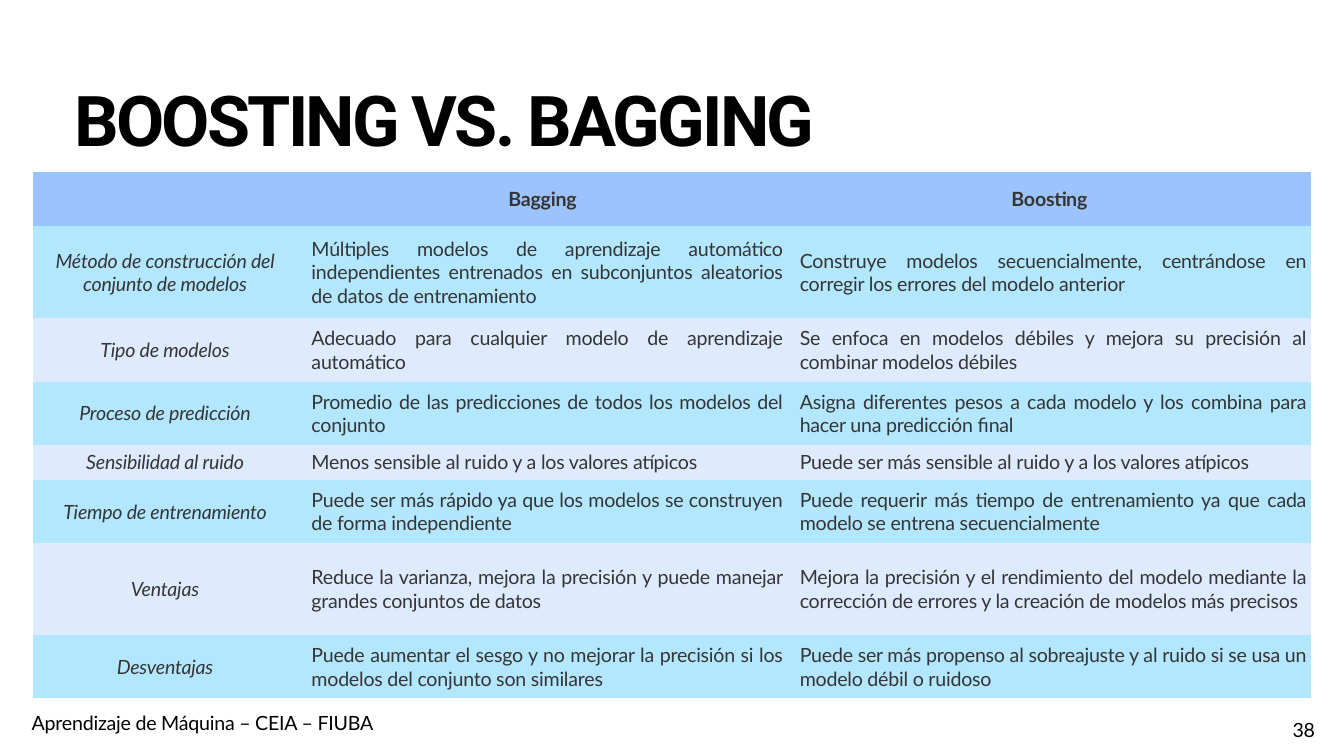
from pptx import Presentation
from pptx.dml.color import RGBColor
from pptx.enum.text import MSO_ANCHOR as Anchor, PP_ALIGN as Align
from pptx.oxml.ns import qn
from pptx.util import Cm, Pt

BLACK, GREY = "000000", "353535"
HEADER_FILL, ODD_FILL, EVEN_FILL = "9BC4FF", "B2E7FF", "DEEBFF"
NO_TABLE_STYLE = "{2D5ABB26-0587-4C30-8999-92F81FD0307C}"

COLUMN_WIDTHS = [13.34, 24.71, 26.39]
LEFT_MARGINS = [0.25, 0.71, 0.61]
HEADER_HEIGHT = 2.72
HEIGHT_BY_LINES = {1: 1.75, 2: 3.2, 3: 4.62}

HEADER = ["", "Bagging", "Boosting"]
# Number of text lines, then the three cells of the row
COMPARISON = [
    (3, "Método de construcción del conjunto de modelos",
     "Múltiples modelos de aprendizaje automático independientes entrenados "
     "en subconjuntos aleatorios de datos de entrenamiento",
     "Construye modelos secuencialmente, centrándose en corregir los errores "
     "del modelo anterior"),
    (2, "Tipo de modelos",
     "Adecuado para cualquier modelo de aprendizaje automático",
     "Se enfoca en modelos débiles y mejora su precisión al combinar modelos débiles"),
    (2, "Proceso de predicción",
     "Promedio de las predicciones de todos los modelos del conjunto",
     "Asigna diferentes pesos a cada modelo y los combina para hacer una predicción final"),
    (1, "Sensibilidad al ruido",
     "Menos sensible al ruido y a los valores atípicos",
     "Puede ser más sensible al ruido y a los valores atípicos"),
    (2, "Tiempo de entrenamiento",
     "Puede ser más rápido ya que los modelos se construyen de forma independiente",
     "Puede requerir más tiempo de entrenamiento ya que cada modelo se entrena "
     "secuencialmente"),
    (3, "Ventajas",
     "Reduce la varianza, mejora la precisión y puede manejar grandes conjuntos de datos",
     "Mejora la precisión y el rendimiento del modelo mediante la corrección de errores "
     "y la creación de modelos más precisos"),
    (2, "Desventajas",
     "Puede aumentar el sesgo y no mejorar la precisión si los modelos del conjunto "
     "son similares",
     "Puede ser más propenso al sobreajuste y al ruido si se usa un modelo débil o ruidoso"),
]


def color(hex_code):
    return RGBColor.from_string(hex_code)


def format_para(para, align=Align.LEFT, font="Lato", size=28, ink=BLACK,
                bold=False, italic=False, line_spacing=0.8, tracking=-0.3):
    """Format a whole paragraph; tracking is letter spacing in points."""
    para.alignment = align
    para.line_spacing = line_spacing
    para.space_before = Pt(0)
    para.font.name = font
    para.font.size = Pt(size)
    para.font.bold = bold
    para.font.italic = italic
    para.font.color.rgb = color(ink)
    para._p.pPr.find(qn("a:defRPr")).set("spc", str(round(tracking * 100)))


def add_title(slide, text):
    title = slide.shapes.title
    title.left, title.top, title.width, title.height = Cm(3.61), Cm(4.5), Cm(60.76), Cm(4.93)
    frame = title.text_frame
    frame.margin_left = frame.margin_right = Cm(0.15)
    frame.margin_top = frame.margin_bottom = Cm(0.15)
    frame.vertical_anchor = Anchor.TOP
    frame.text = text
    format_para(frame.paragraphs[0], font="Roboto", size=100, bold=True, tracking=-4)


def add_label(slide, text, left, top, width, height, align=Align.LEFT):
    box = slide.shapes.add_textbox(Cm(left), Cm(top), Cm(width), Cm(height))
    box.text_frame.word_wrap = True
    box.text_frame.text = text
    format_para(box.text_frame.paragraphs[0], align)


def fill_cell(cell, text, fill, align=Align.CENTER, left_margin=0.25, **style):
    cell.fill.solid()
    cell.fill.fore_color.rgb = color(fill)
    cell.vertical_anchor = Anchor.MIDDLE
    cell.margin_left = Cm(left_margin)
    cell.text = text
    format_para(cell.text_frame.paragraphs[0], align, ink=GREY, line_spacing=1.0, **style)


def add_comparison_table(slide):
    heights = [HEADER_HEIGHT] + [HEIGHT_BY_LINES[row[0]] for row in COMPARISON]
    frame = slide.shapes.add_table(len(heights), len(COLUMN_WIDTHS), Cm(1.65), Cm(8.69),
                                   Cm(sum(COLUMN_WIDTHS)), Cm(sum(heights)))
    table = frame.table
    table.horz_banding = False
    table._tbl.tblPr.find(qn("a:tableStyleId")).text = NO_TABLE_STYLE
    for column, width in zip(table.columns, COLUMN_WIDTHS):
        column.width = Cm(width)
    for row, height in zip(table.rows, heights):
        row.height = Cm(height)

    for column, text in enumerate(HEADER):
        fill_cell(table.cell(0, column), text, HEADER_FILL, bold=True)
    for row, (_, *texts) in enumerate(COMPARISON, start=1):
        fill = ODD_FILL if row % 2 else EVEN_FILL
        for column, text in enumerate(texts):
            is_aspect = column == 0
            fill_cell(table.cell(row, column), text, fill,
                      Align.CENTER if is_aspect else Align.JUSTIFY,
                      LEFT_MARGINS[column], italic=is_aspect)


def main():
    deck = Presentation()
    deck.slide_width, deck.slide_height = Cm(67.74), Cm(38.1)
    slide = deck.slides.add_slide(deck.slide_layouts[5])
    add_title(slide, "BOOSTING VS. BAGGING")
    add_label(slide, "38", 64.14, 36.27, 3.15, 1.4, Align.CENTER)
    add_comparison_table(slide)
    add_label(slide, "Aprendizaje de Máquina – CEIA – FIUBA", 1.35, 35.94, 21.13, 1.3)
    deck.save("out.pptx")


if __name__ == "__main__":
    main()
